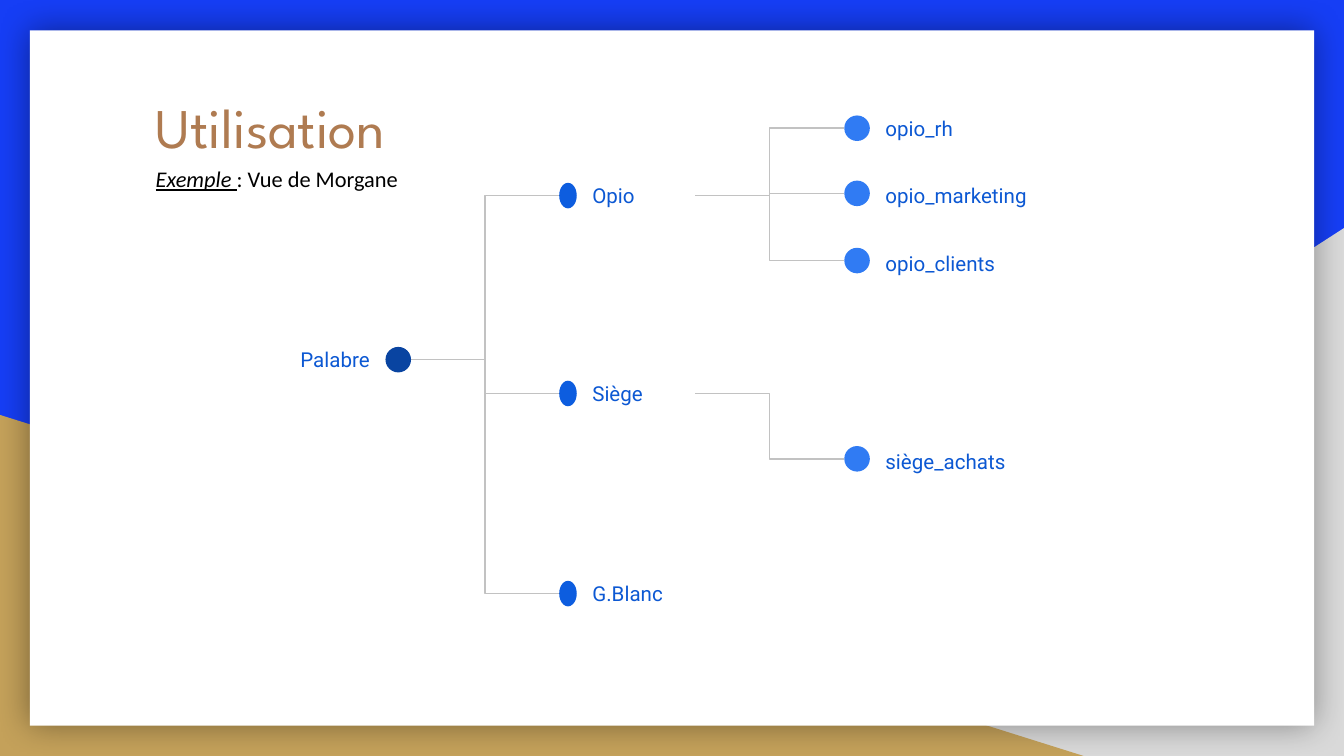
from lxml.etree import SubElement
from pptx import Presentation
from pptx.dml.color import RGBColor
from pptx.enum.shapes import MSO_CONNECTOR, MSO_SHAPE
from pptx.enum.text import MSO_ANCHOR, MSO_AUTO_SIZE, PP_ALIGN
from pptx.oxml.ns import qn
from pptx.util import Pt

BACKGROUND = RGBColor(0x16, 0x3E, 0xF5)
GREY = RGBColor(0xD9, 0xD9, 0xD9)
GOLD = RGBColor(0xC4, 0xA1, 0x5A)
WHITE = RGBColor(0xFF, 0xFF, 0xFF)
BLACK = RGBColor(0x00, 0x00, 0x00)
BROWN = RGBColor(0xAF, 0x7B, 0x51)
LINE = RGBColor(0xC2, 0xC2, 0xC2)
LABEL = RGBColor(0x0C, 0x58, 0xD3)
ROOT_BLUE = RGBColor(0x09, 0x44, 0xA1)
TEAM_BLUE = RGBColor(0x0D, 0x5D, 0xDF)
CHANNEL_BLUE = RGBColor(0x30, 0x7B, 0xF3)

DOT = 13.7
TEAM_DOT_WIDTH = 9.4
LABEL_HEIGHT = 25.2
WIDE_LABEL = 92.9
TEAM_LABEL = 63.4

# Left edges of the dots of the three levels
ROOT_X, TEAM_X, CHANNEL_X = 206.5, 299.6, 452.3
ROOT_Y = 192.7

# Team: name, centre, then channels: name, dot centre, label centre
TEAMS = [
    ("Opio", 104.8, [("opio_rh", 68.7, 68.7),
                     ("opio_marketing", 103.6, 104.8),
                     ("opio_clients", 139.6, 140.9)]),
    ("Siège", 210.8, [("siège_achats", 245.8, 247)]),
    ("G.Blanc", 318, []),
]


def add_filled(slide, kind, left, top, width, height, color):
    shape = slide.shapes.add_shape(kind, Pt(left), Pt(top), Pt(width), Pt(height))
    shape.shadow.inherit = False
    shape.fill.solid()
    shape.fill.fore_color.rgb = color
    shape.line.fill.background()
    return shape


def add_glow_shadow(shape):
    effects = shape._element.spPr.find(qn("a:effectLst"))
    shadow = SubElement(effects, qn("a:outerShdw"), blurRad=str(Pt(18)),
                        dist="0", dir="0", algn="ctr", rotWithShape="0")
    color = SubElement(shadow, qn("a:srgbClr"), val=str(BLACK))
    SubElement(color, qn("a:alpha"), val="40000")


def prepare_text(shape, anchor):
    frame = shape.text_frame
    frame.word_wrap = True
    frame.auto_size = MSO_AUTO_SIZE.NONE
    frame.vertical_anchor = anchor
    frame.margin_left = frame.margin_right = Pt(7.2)
    frame.margin_top = frame.margin_bottom = Pt(7.2)
    return frame.paragraphs[0]


def add_run(paragraph, text, font, size, color):
    run = paragraph.add_run()
    run.text = text
    run.font.name = font
    run.font.size = Pt(size)
    run.font.color.rgb = color
    return run


def add_label(slide, text, left, center, width, align=PP_ALIGN.LEFT):
    shape = slide.shapes.add_shape(
        MSO_SHAPE.ROUNDED_RECTANGLE, Pt(left), Pt(center - LABEL_HEIGHT / 2),
        Pt(width), Pt(LABEL_HEIGHT))
    shape.shadow.inherit = False
    shape.fill.background()
    shape.line.fill.background()
    paragraph = prepare_text(shape, MSO_ANCHOR.MIDDLE)
    paragraph.alignment = align
    add_run(paragraph, text, "Roboto", 11, LABEL)


def add_dot(slide, left, center, width, color):
    add_filled(slide, MSO_SHAPE.OVAL, left, center - DOT / 2, width, DOT, color)


def add_branch(slide, start_x, start_y, end_x, end_y):
    connector = slide.shapes.add_connector(
        MSO_CONNECTOR.ELBOW, Pt(start_x), Pt(start_y), Pt(end_x), Pt(end_y))
    connector.line.color.rgb = LINE
    connector.line.width = Pt(0.75)
    SubElement(connector._element.spPr, qn("a:effectLst"))


def add_backdrop(slide):
    slide.background.fill.solid()
    slide.background.fill.fore_color.rgb = BACKGROUND
    corner = add_filled(slide, MSO_SHAPE.RIGHT_TRIANGLE, 282, 122.2, 438, 282.8, GREY)
    corner._element.spPr.find(qn("a:xfrm")).set("flipH", "1")
    add_filled(slide, MSO_SHAPE.RIGHT_TRIANGLE, 0, 222.3, 580.5, 182.7, GOLD)
    panel = add_filled(slide, MSO_SHAPE.RECTANGLE, 16, 16.2, 688, 372.6, WHITE)
    add_glow_shadow(panel)


def add_heading(slide):
    title = slide.shapes.title
    title.left, title.top, title.width, title.height = Pt(76.3), Pt(42.5), Pt(183), Pt(75)
    paragraph = prepare_text(title, MSO_ANCHOR.TOP)
    paragraph.alignment = PP_ALIGN.LEFT
    add_run(paragraph, "Utilisation", "League Spartan", 30, BROWN)

    example = slide.shapes.add_textbox(Pt(76.3), Pt(81.4), Pt(154.8), Pt(31))
    paragraph = prepare_text(example, MSO_ANCHOR.TOP)
    lead = add_run(paragraph, "Exemple ", "Calibri", 12, BLACK)
    lead.font.italic = lead.font.underline = True
    add_run(paragraph, ": Vue de Morgane", "Calibri", 12, BLACK)


def add_tree(slide):
    team_label_x = TEAM_X + TEAM_DOT_WIDTH
    team_end = team_label_x + TEAM_LABEL

    # Branches lie behind the nodes
    for _, team_y, channels in TEAMS:
        add_branch(slide, ROOT_X + DOT, ROOT_Y, TEAM_X, team_y)
        for _, dot_y, _ in channels:
            add_branch(slide, team_end, team_y, CHANNEL_X, dot_y)

    # Root node
    add_label(slide, "Palabre", ROOT_X - WIDE_LABEL, ROOT_Y, WIDE_LABEL, PP_ALIGN.RIGHT)
    add_dot(slide, ROOT_X, ROOT_Y, DOT, ROOT_BLUE)

    # Teams and their channels
    for team, team_y, channels in TEAMS:
        add_label(slide, team, team_label_x, team_y, TEAM_LABEL)
        add_dot(slide, TEAM_X, team_y, TEAM_DOT_WIDTH, TEAM_BLUE)
        for channel, dot_y, label_y in channels:
            add_label(slide, channel, CHANNEL_X + DOT, label_y, WIDE_LABEL)
            add_dot(slide, CHANNEL_X, dot_y, DOT, CHANNEL_BLUE)


def main():
    presentation = Presentation()
    presentation.slide_width, presentation.slide_height = Pt(720), Pt(405)
    slide = presentation.slides.add_slide(presentation.slide_layouts[5])
    add_backdrop(slide)
    add_tree(slide)
    add_heading(slide)
    # The title placeholder comes first in the tree: lift it above the panel
    slide.shapes._spTree.append(slide.shapes.title._element)
    presentation.save("out.pptx")


if __name__ == "__main__":
    main()
